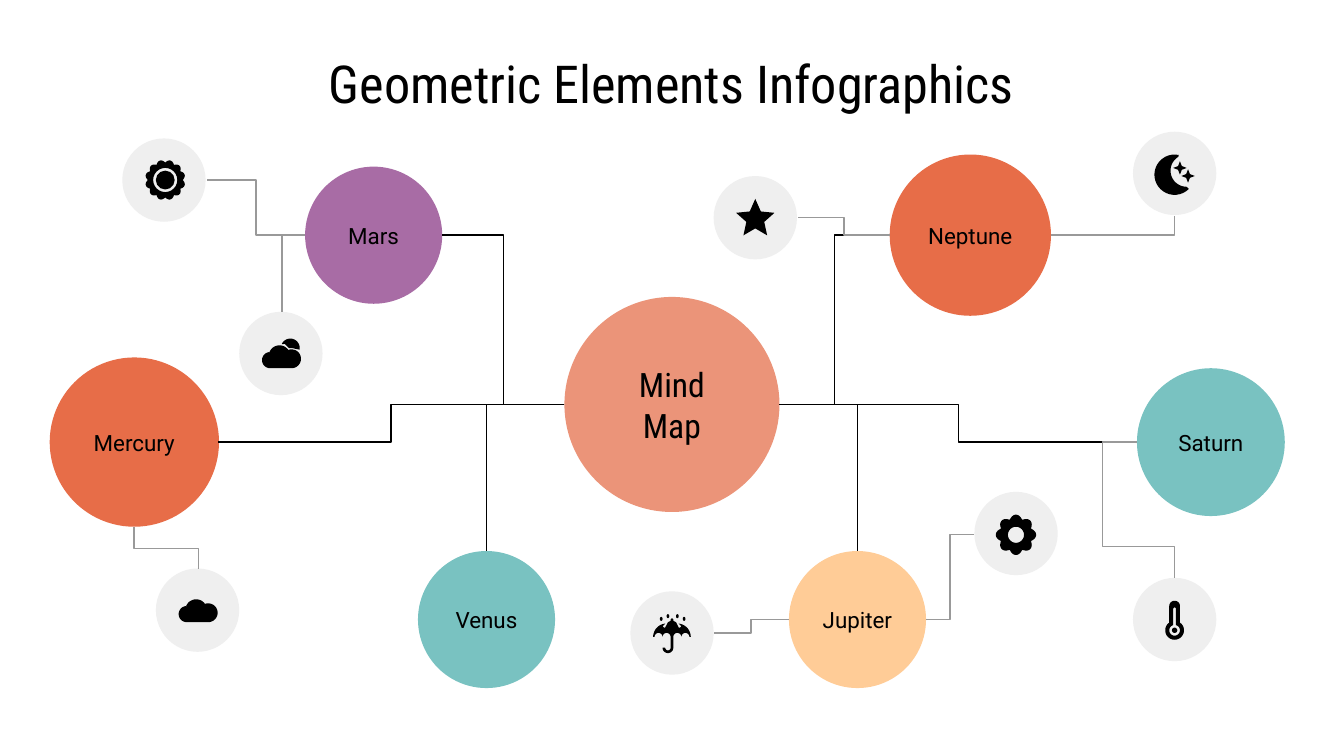
"""Build a mind map slide of planets with weather icons."""
from math import cos, radians, sin

from lxml.etree import SubElement
from pptx import Presentation
from pptx.dml.color import RGBColor
from pptx.enum.shapes import MSO_CONNECTOR, MSO_SHAPE
from pptx.enum.text import MSO_ANCHOR, PP_ALIGN
from pptx.oxml.ns import qn
from pptx.util import Inches, Pt

BLACK = RGBColor(0x00, 0x00, 0x00)
GREY = RGBColor(0x99, 0x99, 0x99)
PALE = RGBColor(0xEF, 0xEF, 0xEF)
SALMON = RGBColor(0xEB, 0x94, 0x79)
PURPLE = RGBColor(0xA8, 0x6C, 0xA5)
ORANGE = RGBColor(0xE7, 0x6D, 0x48)
TEAL = RGBColor(0x79, 0xC2, 0xC1)
PEACH = RGBColor(0xFF, 0xCC, 0x97)

PLANETS = [
    ("Mars", 2.27, 1.24, 1.02, PURPLE),
    ("Mercury", 0.37, 2.66, 1.26, ORANGE),
    ("Venus", 3.11, 4.1, 1.02, TEAL),
    ("Jupiter", 5.87, 4.1, 1.02, PEACH),
    ("Neptune", 6.62, 1.15, 1.2, ORANGE),
    ("Saturn", 8.46, 2.74, 1.1, TEAL),
]
ICON_DISCS = [(5.31, 1.31), (8.43, 0.98), (7.25, 3.66), (8.43, 4.3),
              (4.69, 4.4), (1.78, 2.32), (0.91, 1.03), (1.16, 4.23)]
LEFT_HUB, RIGHT_HUB = (4.2, 3.01), (5.8, 3.01)
BRANCHES = [
    (LEFT_HUB, (1.62, 3.29), 3),
    (RIGHT_HUB, (8.46, 3.29), 3),
    (LEFT_HUB, (3.29, 1.75), 3),
    (RIGHT_HUB, (6.62, 1.75), 3),
    (LEFT_HUB, (3.62, 4.1), 2),
    (RIGHT_HUB, (6.38, 4.1), 2),
]
TWIGS = [
    ((2.27, 1.75), (1.54, 1.34), 3),
    ((2.27, 1.75), (2.1, 2.32), 2),
    ((6.62, 1.75), (5.94, 1.62), 3),
    ((7.82, 1.75), (8.74, 1.61), 2),
    ((6.89, 4.61), (7.25, 3.98), 3),
    ((5.87, 4.61), (5.31, 4.71), 3),
]


def style_text(shape, text, font, size):
    """Set centred black text with even insets."""
    frame = shape.text_frame
    frame.text = text
    frame.word_wrap = True
    frame.margin_left = frame.margin_right = Inches(0.1)
    frame.margin_top = frame.margin_bottom = Inches(0.1)
    paragraph = frame.paragraphs[0]
    paragraph.alignment = PP_ALIGN.CENTER
    span = paragraph.runs[0]
    span.font.name = font
    span.font.size = Pt(size)
    span.font.color.rgb = BLACK


def paint(shape, color):
    """Give a shape a flat fill without line or shadow."""
    shape.shadow.inherit = False
    shape.fill.solid()
    shape.fill.fore_color.rgb = color
    shape.line.fill.background()


def add_ellipse(page, left, top, width, height, color):
    """Add a plain ellipse."""
    shape = page.shapes.add_shape(MSO_SHAPE.OVAL, Inches(left), Inches(top),
                                  Inches(width), Inches(height))
    paint(shape, color)
    return shape


def add_bubble(page, text, left, top, size, color, font="Roboto", points=12):
    """Add a labelled circle."""
    shape = add_ellipse(page, left, top, size, size, color)
    style_text(shape, text, font, points)
    shape.text_frame.vertical_anchor = MSO_ANCHOR.MIDDLE


def add_elbow(page, start, end, color, kind=3, adjust=(), turn=0):
    """Add a bent connector of the given preset kind."""
    line = page.shapes.add_connector(
        MSO_CONNECTOR.ELBOW, *(Inches(value) for value in start + end))
    line.line.color.rgb = color
    line.line.width = Pt(0.75)
    properties = line._element.spPr
    SubElement(properties, qn("a:effectLst"))
    geometry = properties.find(qn("a:prstGeom"))
    geometry.set("prst", f"bentConnector{kind}")
    if turn:
        properties.find(qn("a:xfrm")).set("rot", str(turn * 60000))
    if adjust:
        guides = geometry.find(qn("a:avLst"))
        if guides is None:
            guides = SubElement(geometry, qn("a:avLst"))
        for number, value in enumerate(adjust, 1):
            SubElement(guides, qn("a:gd"), name=f"adj{number}",
                       fmla=f"val {round(value * 100000)}")


def arc(x, y, radius, start=0, end=360, steps=24):
    """Return points along a circular arc, in degrees clockwise."""
    angles = [radians(start + (end - start) * i / steps) for i in range(steps + 1)]
    return [(x + radius * cos(a), y + radius * sin(a)) for a in angles]


def star(x, y, outer, inner, tips):
    """Return the corners of a star that points up."""
    return [arc(x, y, inner if i % 2 else outer, 180 * i / tips - 90)[0]
            for i in range(2 * tips)]


def scallop(x, y, low, high, lobes, turn=0):
    """Return a round outline with even lobes."""
    return [arc(x, y, low + (high - low) * abs(cos(radians(lobes * a / 2))),
                a + turn)[0] for a in range(0, 360, 3)]


def add_icon(page, *outlines):
    """Add one black freeform; later outlines cut holes."""
    builder = None
    for outline in outlines:
        first, *rest = [(Inches(x), Inches(y)) for x, y in outline]
        if builder is None:
            builder = page.shapes.build_freeform(*first)
        else:
            builder.move_to(*first)
        builder.add_line_segments(rest, close=True)
    paint(builder.convert_to_shape(), BLACK)


def add_dot(page, x, y, radius):
    """Add a black dot around a centre."""
    add_ellipse(page, x - radius, y - radius, 2 * radius, 2 * radius, BLACK)


def add_cloud(page, left, top):
    """Add a cloud made of three lobes."""
    add_icon(page, arc(left + 0.06, top + 0.11, 0.06, 90, 270)
             + arc(left + 0.13, top + 0.08, 0.08, 190, 325)
             + arc(left + 0.22, top + 0.1, 0.07, -100, 90))


def add_umbrella(page):
    """Add an umbrella under four raindrops."""
    half = arc(4.96, 4.74, 0.1, 180, 265) + [
        (4.93, 4.66), (4.94, 4.67), (4.95, 4.67), (4.97, 4.63),
        (4.99, 4.62), (4.99, 4.61), (5, 4.6)]
    mirrored = [(10 - x, y) for x, y in reversed(half)]
    scallops = [arc(x, 4.74, 0.03, 0, -180) for x in (5.1, 5.04, 4.96, 4.9)]
    hook = arc(4.97, 4.82, 0.04, 0, 180) + arc(4.97, 4.82, 0.02, 180, 0)
    add_icon(page, half + mirrored + scallops[0] + scallops[1] + hook
             + scallops[2] + scallops[3])
    for left, top in ((4.91, 4.59), (4.96, 4.57), (5.03, 4.57), (5.08, 4.59)):
        add_ellipse(page, left, top, 0.02, 0.03, BLACK)


def add_weather_icons(page):
    """Draw the eight icons."""
    add_umbrella(page)
    add_icon(page, star(5.62, 1.63, 0.15, 0.07, 5))
    add_icon(page, arc(8.74, 1.3, 0.15, -78, -315)
             + arc(8.83, 1.27, 0.12, 90, 239))
    for x, y in ((8.78, 1.25), (8.84, 1.31)):
        add_icon(page, star(x, y, 0.05, 0.02, 4))
    add_icon(page, arc(2.16, 2.59, 0.07, 205, 370)
             + [(2.17, 2.59), (2.15, 2.59), (2.12, 2.56)])
    add_cloud(page, 1.95, 2.57)
    add_cloud(page, 1.33, 4.46)
    add_dot(page, 1.23, 1.34, 0.07)
    add_icon(page, scallop(1.23, 1.34, 0.13, 0.15, 12, 15), arc(1.23, 1.34, 0.09))
    add_icon(page, arc(8.74, 4.51, 0.04, 180, 360) + arc(8.74, 4.69, 0.07, -55, 235),
             arc(8.74, 4.53, 0.01, 180, 360) + arc(8.74, 4.69, 0.04, -75, 255))
    add_dot(page, 8.74, 4.69, 0.02)
    add_icon(page, scallop(7.56, 3.98, 0.12, 0.15, 8), arc(7.56, 3.98, 0.06))


def main():
    """Build and save the slide."""
    deck = Presentation()
    deck.slide_width, deck.slide_height = Inches(10), Inches(10 * 9 / 16)
    page = deck.slides.add_slide(deck.slide_layouts[6])
    title = page.shapes.add_textbox(Inches(0.39), Inches(0.28),
                                    Inches(9.21), Inches(0.63))
    style_text(title, "Geometric Elements Infographics", "Roboto Condensed", 28)
    add_bubble(page, "Mind Map", 4.2, 2.21, 1.6, SALMON, "Roboto Condensed", 18)
    for planet in PLANETS:
        add_bubble(page, *planet)
    for left, top in ICON_DISCS:
        add_ellipse(page, left, top, 0.62, 0.62, PALE)
    for color, links in ((BLACK, BRANCHES), (GREY, TWIGS)):
        for start, end, kind in links:
            add_elbow(page, start, end, color, kind)
    add_elbow(page, (1.39, 3.84), (1.08, 4.32), GREY, turn=270)
    add_elbow(page, (8.46, 3.29), (8.74, 4.3), GREY, 4, (-0.92, 0.77))
    add_weather_icons(page)
    deck.save("out.pptx")


if __name__ == "__main__":
    main()
